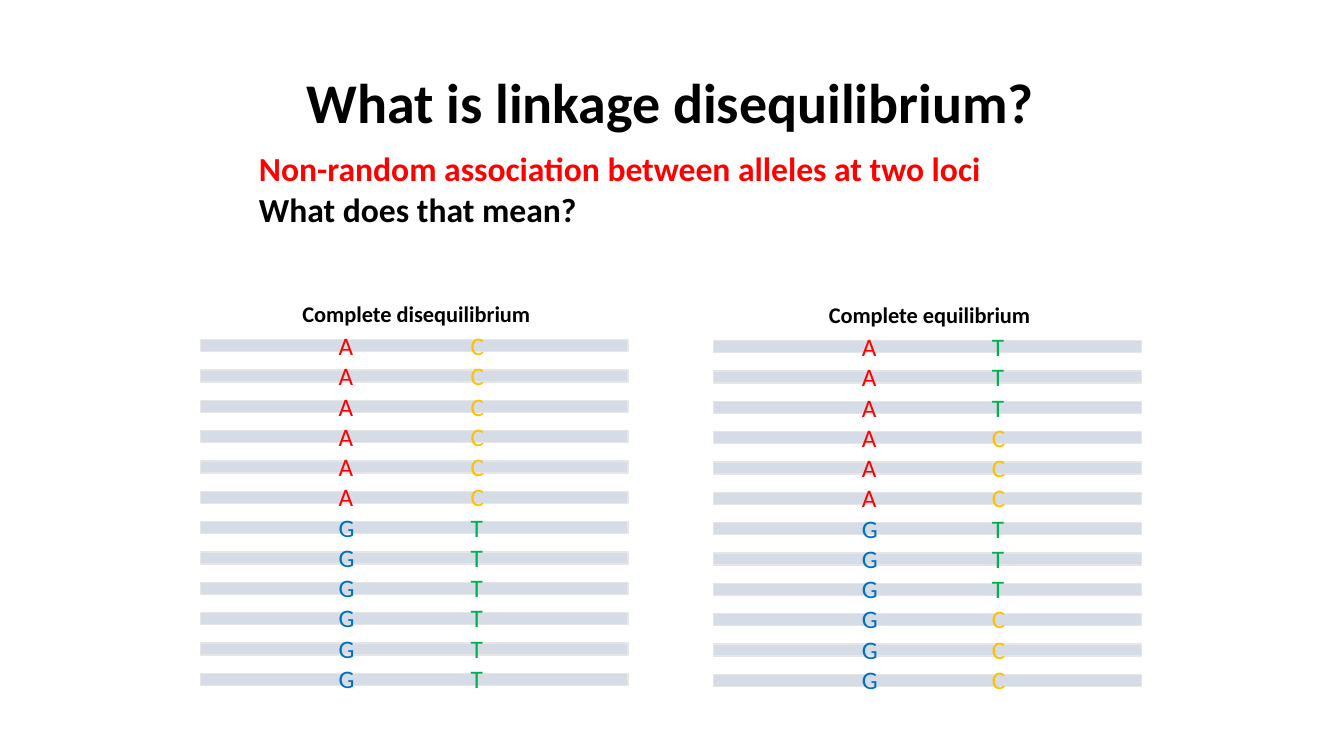
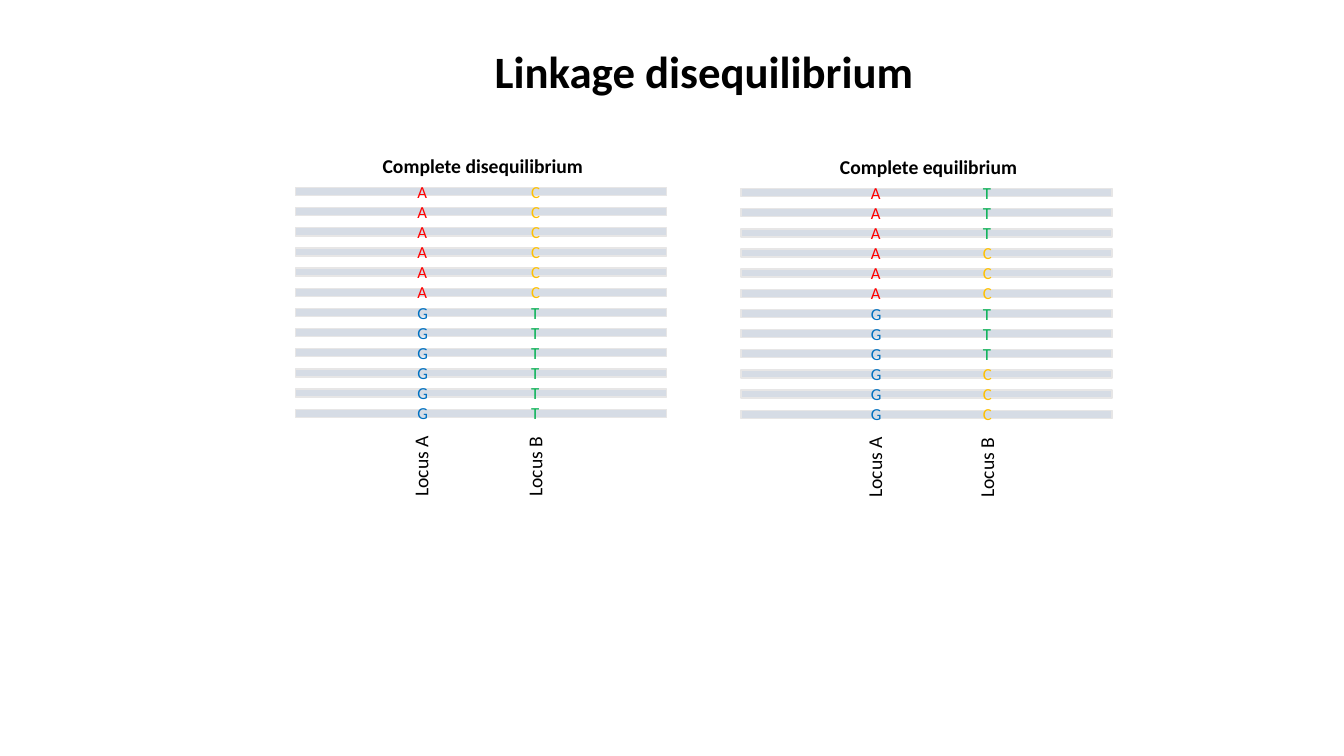
from dataclasses import dataclass

from pptx import Presentation
from pptx import util as u
from pptx.dml.color import RGBColor
from pptx.enum import shapes, text

PX = 9144


@dataclass(frozen=True)
class Theme:
    font = "Calibri"
    black = "000000"
    red = "FF0000"
    bar = "D6DCE5"
    bar_line = "E7E6E6"
    bases = {"A": "FF0000", "G": "0070C0", "C": "FFC000", "T": "00B050"}
    title = 40
    small_title = 32
    lead = 24


@dataclass(frozen=True)
class PanelStyle:
    letter: int
    heading: int
    bar_h: int
    column_w: int
    heading_h: int
    heading_rise: int
    column_rise: int


THEME = Theme()
LARGE = PanelStyle(18, 16, 12, 36, 37, 44, 14)
SMALL = PanelStyle(12, 14, 8, 31, 34, 38, 11)
LOCUS_W, LOCUS_H, LOCUS_GAP = 81, 34, 31
LINKED = ("Complete disequilibrium", "AAAAAAGGGGGG", "CCCCCCTTTTTT")
MIXED = ("Complete equilibrium", "AAAAAAGGGGGG", "TTTCCCTTTCCC")


def px(*lengths):
    return [u.Emu(round(v * PX)) for v in lengths]


def rgb(value):
    return RGBColor.from_string(value)


def write(sp, lines, size, bold=False, align=text.PP_ALIGN.LEFT):
    tf = sp.text_frame
    frame = {"word_wrap": False, "auto_size": text.MSO_AUTO_SIZE.SHAPE_TO_FIT_TEXT,
             "vertical_anchor": text.MSO_ANCHOR.TOP}
    for name, value in frame.items():
        setattr(tf, name, value)
    for i, (line, color) in enumerate(lines):
        p = tf.add_paragraph() if i else tf.paragraphs[0]
        p.alignment = align
        r = p.add_run()
        r.text = line
        for name, value in {"name": THEME.font, "size": u.Pt(size), "bold": bold}.items():
            setattr(r.font, name, value)
        r.font.color.rgb = rgb(color)


def add_text(parent, box, lines, size, **style):
    sp = parent.add_textbox(*px(*box))
    write(sp, lines, size, **style)
    return sp


def add_titled_slide(prs, title, box, size):
    s = prs.slides.add_slide(prs.slide_layouts[5])
    sp = s.shapes.title
    for name, value in zip(("left", "top", "width", "height"), px(*box)):
        setattr(sp, name, value)
    write(sp, [(title, THEME.black)], size, bold=True, align=text.PP_ALIGN.CENTER)
    return s


def add_bars(parent, box, count, bar_h):
    x, y, w, h = box
    pitch = (h - bar_h) / (count - 1)
    for i in range(count):
        sp = parent.add_shape(shapes.MSO_SHAPE.RECTANGLE, *px(x, y + i * pitch, w, bar_h))
        sp.shadow.inherit = False
        sp.fill.solid()
        sp.fill.fore_color.rgb = rgb(THEME.bar)
        sp.line.color.rgb = rgb(THEME.bar_line)
        sp.line.width = u.Pt(1)


def add_panel(s, box, content, columns, style, loci=()):
    x, y, w, h = box
    heading, *alleles = content
    parent = s.shapes.add_group_shape().shapes
    add_bars(parent, box, len(alleles[0]), style.bar_h)
    for offset, bases in zip(columns, alleles):
        add_text(parent, (x + offset, y - style.column_rise, style.column_w, h + 30),
                 [(b, THEME.bases[b]) for b in bases], style.letter)
    add_text(parent, (x, y - style.heading_rise, w + 4, style.heading_h),
             [(heading, THEME.black)], style.heading, bold=True,
             align=text.PP_ALIGN.CENTER)
    for offset, locus in zip(columns, loci):
        center = x + offset + style.column_w / 2 - 2
        sp = add_text(parent, (center - LOCUS_W / 2, y + h + LOCUS_GAP, LOCUS_W, LOCUS_H),
                      [(locus, THEME.black)], style.heading)
        sp.rotation = 270


def add_question_slide(prs):
    s = add_titled_slide(prs, "What is linkage disequilibrium?", (290, 62, 750, 77),
                         THEME.title)
    add_text(s.shapes, (247, 142, 743, 91),
             [("Non-random association between alleles at two loci", THEME.red),
              ("What does that mean?", THEME.black)], THEME.lead, bold=True)
    add_panel(s, (199, 337, 424, 343), LINKED, (127, 258), LARGE)
    add_panel(s, (708, 338, 424, 343), MIXED, (137, 266), LARGE)


def add_loci_slide(prs):
    s = add_titled_slide(prs, "Linkage disequilibrium", (479, 38, 439, 64),
                         THEME.small_title)
    loci = ("Locus A", "Locus B")
    add_panel(s, (293, 186, 368, 228), LINKED, (111, 224), SMALL, loci)
    add_panel(s, (735, 187, 368, 228), MIXED, (119, 230), SMALL, loci)


def main():
    prs = Presentation()
    prs.slide_width, prs.slide_height = px(1333, 750)
    add_question_slide(prs)
    add_loci_slide(prs)
    prs.save("out.pptx")


if __name__ == "__main__":
    main()
